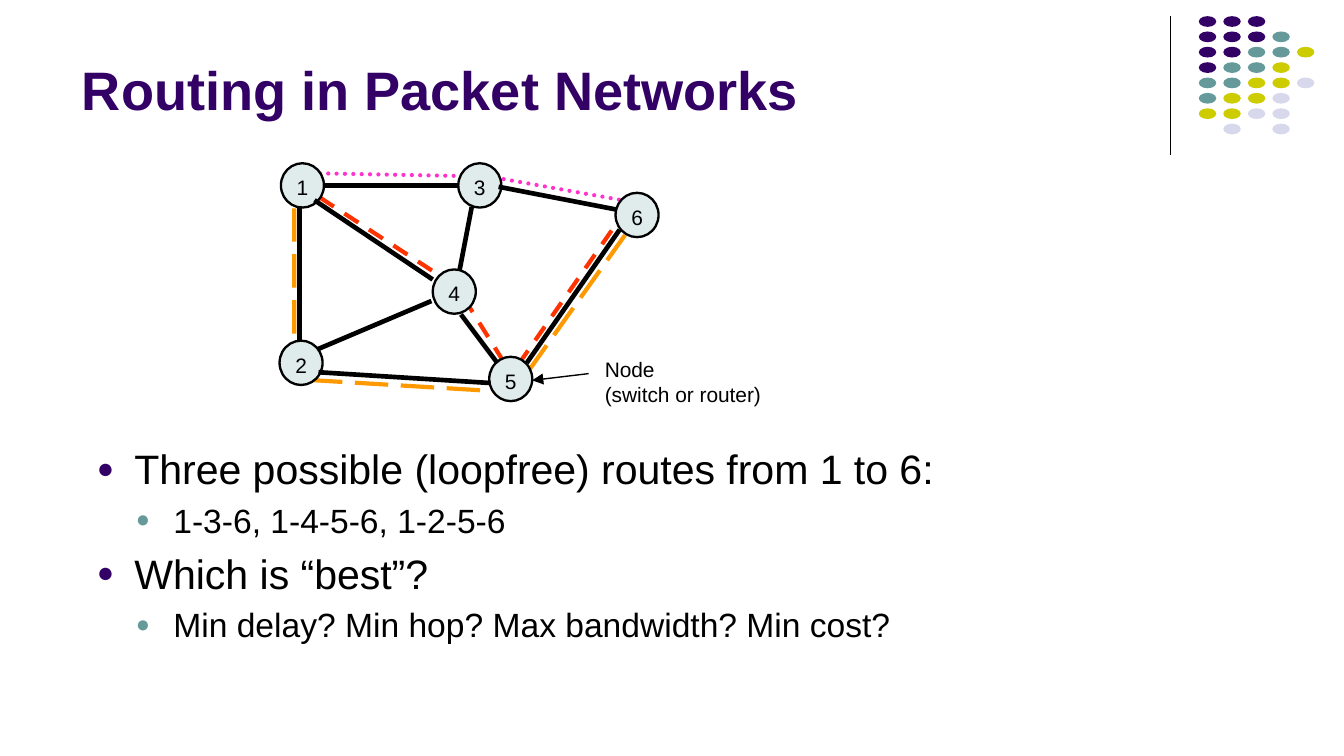
import pptx
import pptx.util
import pptx.dml.color
import pptx.enum.dml
import pptx.enum.shapes
import pptx.enum.text
import pptx.oxml
import pptx.oxml.ns

W = 10
H = W * 9 / 16
FONT = "Arial"
BLACK, PURPLE, TEAL, LIME, LAVENDER = "000000", "330066", "669999", "CCCC00", "D8D8EC"

TITLE = "Routing in Packet Networks"
BODY = [
    (0, "Three possible (loopfree) routes from 1 to 6:"),
    (1, "1-3-6, 1-4-5-6, 1-2-5-6"),
    (0, "Which is “best”?"),
    (1, "Min delay? Min hop? Max bandwidth? Min cost?"),
]
LEVELS = [  # per outline level: text size, left margin, bullet colour
    {"size": 22, "margin": 0.28, "bullet": PURPLE},
    {"size": 18, "margin": 0.57, "bullet": TEAL},
]
NODE_LABEL = ["Node", "(switch or router)"]

DOT_COLOURS = {"P": PURPLE, "T": TEAL, "L": LIME, "V": LAVENDER}
DOT_ROWS = ["PPP", "PPPT", "PPTTL", "PTTL", "TTLLV", "TLLV", "LLVV", " V V"]
DOT_LEFT, DOT_TOP, DOT_DX, DOT_DY = 8.92, 0.12, 0.73 / 4, 0.8 / 7

NODE_W, NODE_H = 0.32, 0.33
NODES = {"1": (2.25, 1.38), "2": (2.24, 2.7), "3": (3.57, 1.38),
         "4": (3.38, 2.17), "5": (3.8, 2.82), "6": (4.74, 1.6)}
EDGES = [
    (2.41, 1.38, 3.41, 1.38),  # 1-3
    (3.51, 1.54, 3.42, 2.01),  # 3-4
    (3.43, 2.34, 3.7, 2.7),    # 4-5
    (3.71, 1.39, 4.59, 1.56),  # 3-6
    (3.92, 2.7, 4.61, 1.71),   # 5-6
    (3.65, 2.85, 2.37, 2.77),  # 5-2
    (2.23, 1.53, 2.23, 2.54),  # 1-2
    (2.34, 1.49, 3.22, 2.08),  # 1-4
    (3.21, 2.24, 2.36, 2.6),   # 4-2
]
DASH = pptx.enum.dml.MSO_LINE
ROUTES = [
    ("FF3300", DASH.DASH, "flat", [(2.38, 1.47), (3.27, 2.05), (3.49, 2.28), (3.74, 2.68),
                                   (3.82, 2.7), (3.88, 2.68), (4.59, 1.66)]),
    ("FF33CC", DASH.ROUND_DOT, "rnd", [(2.38, 1.29), (3.43, 1.31), (3.73, 1.33),
                                       (4.63, 1.49)]),
    ("FF9900", DASH.LONG_DASH, "flat", [(2.19, 1.55), (2.19, 2.54), (2.16, 2.74),
                                        (2.21, 2.81), (2.34, 2.83), (3.67, 2.91),
                                        (3.83, 2.92), (3.92, 2.81), (3.94, 2.75),
                                        (4.65, 1.75)]),
]

inch, pt = pptx.util.Inches, pptx.util.Pt


def rgb(colour):
    return pptx.dml.color.RGBColor.from_string(colour)


def add_xml(parent, xml):
    """Append a DrawingML element, given without its namespace declaration."""
    head, sep, tail = xml.partition("/>") if xml.endswith("/>") else xml.partition(">")
    if xml.count("<") > 1:
        head, sep, tail = xml.partition(">")
    parent.append(pptx.oxml.parse_xml(f"{head} {pptx.oxml.ns.nsdecls('a')}{sep}{tail}"))


def place(sp, left, top, width, height):
    sp.left, sp.top, sp.width, sp.height = map(inch, (left, top, width, height))


def set_format(target, **values):
    for name, value in values.items():
        setattr(target, name, value)


def set_font(p, size, colour=BLACK, bold=False):
    set_format(p.font, name=FONT, size=pt(size), bold=bold)
    p.font.color.rgb = rgb(colour)


def set_line(line, colour, width):
    line.color.rgb = rgb(colour)
    line.width = pt(width)


def add_line(shapes, ends, width):
    sp = shapes.add_connector(pptx.enum.shapes.MSO_CONNECTOR.STRAIGHT, *map(inch, ends))
    set_line(sp.line, BLACK, width)
    add_xml(sp._element.spPr, "<a:effectLst/>")
    return sp


def add_ellipse(shapes, left, top, width, height, fill):
    sp = shapes.add_shape(pptx.enum.shapes.MSO_SHAPE.OVAL,
                          *map(inch, (left, top, width, height)))
    sp.shadow.inherit = False
    sp.fill.solid()
    sp.fill.fore_color.rgb = rgb(fill)
    return sp


def add_dots(shapes):
    for row, codes in enumerate(DOT_ROWS):
        for col, code in enumerate(codes):
            if code in DOT_COLOURS:
                dot = add_ellipse(shapes, DOT_LEFT + col * DOT_DX, DOT_TOP + row * DOT_DY,
                                  0.13, 0.08, DOT_COLOURS[code])
                dot.line.fill.background()


def add_route(shapes, colour, dash, cap, points):
    start, *rest = [(inch(x), inch(y)) for x, y in points]
    builder = shapes.build_freeform(*start)
    builder.add_line_segments(rest, close=False)
    sp = builder.convert_to_shape()
    sp.shadow.inherit = False
    sp.fill.background()
    set_line(sp.line, colour, 2.25)
    sp.line.dash_style = dash
    sp.line._get_or_add_ln().set("cap", cap)


def clear_insets(tf):
    set_format(tf, margin_left=0, margin_right=0, margin_top=0, margin_bottom=0,
               word_wrap=False)


def add_node(shapes, name, x, y):
    sp = add_ellipse(shapes, x - NODE_W / 2, y - NODE_H / 2, NODE_W, NODE_H, "E0EBEB")
    set_line(sp.line, BLACK, 1.25)
    tf = sp.text_frame
    clear_insets(tf)
    tf.margin_top = inch(0.03)
    tf.vertical_anchor = pptx.enum.text.MSO_ANCHOR.MIDDLE
    p = tf.paragraphs[0]
    p.text, p.alignment = name, pptx.enum.text.PP_ALIGN.CENTER
    set_font(p, 11.2)


def add_node_label(shapes):
    sp = shapes.add_textbox(*map(inch, (4.5, 2.65, 1.18, 0.38)))
    clear_insets(sp.text_frame)
    sp.text_frame.text = "\n".join(NODE_LABEL)
    for p in sp.text_frame.paragraphs:
        set_font(p, 11.2)
    arrow = add_line(shapes, (4.38, 2.78, 3.96, 2.83), 0.75)
    add_xml(arrow.line._get_or_add_ln(), '<a:tailEnd type="triangle"/>')


def fill_title(sp):
    place(sp, 0.51, 0.11, 5.99, 0.84)
    tf = sp.text_frame
    tf.text = TITLE
    set_format(tf, vertical_anchor=pptx.enum.text.MSO_ANCHOR.BOTTOM, word_wrap=True,
               auto_size=pptx.enum.text.MSO_AUTO_SIZE.NONE)
    p = tf.paragraphs[0]
    p.alignment = pptx.enum.text.PP_ALIGN.LEFT
    set_font(p, 29, PURPLE, bold=True)


def fill_body(sp):
    place(sp, 0.62, 3.25, 6.61, 1.65)
    tf = sp.text_frame
    tf.auto_size = pptx.enum.text.MSO_AUTO_SIZE.NONE
    tf.text = "\n".join(text for _, text in BODY)
    for i, (p, (level, _)) in enumerate(zip(tf.paragraphs, BODY)):
        style = LEVELS[level]
        p.level = level
        pPr = p._p.get_or_add_pPr()
        pPr.set("marL", str(inch(style["margin"])))
        pPr.set("indent", str(inch(-0.28)))
        add_xml(pPr, f'<a:buClr><a:srgbClr val="{style["bullet"]}"/></a:buClr>')
        add_xml(pPr, '<a:buSzPct val="70000"/>')
        add_xml(pPr, f'<a:buFont typeface="{FONT}"/>')
        add_xml(pPr, '<a:buChar char="●"/>')
        p.space_before = pt(0.2 * style["size"] if i else 0)
        set_font(p, style["size"])


def main():
    prs = pptx.Presentation()
    prs.slide_width, prs.slide_height = inch(W), inch(H)
    s = prs.slides.add_slide(prs.slide_layouts[1])
    fill_title(s.shapes.title)
    fill_body(s.placeholders[1])

    add_line(s.shapes, (8.71, 0.12, 8.71, 1.15), 0.75)
    add_dots(s.shapes.add_group_shape().shapes)

    network = s.shapes.add_group_shape().shapes
    for route in ROUTES:
        add_route(network, *route)
    for name, centre in NODES.items():
        add_node(network, name, *centre)
    for ends in EDGES:
        add_line(network, ends, 2.5)
    add_node_label(network)
    prs.save("out.pptx")


if __name__ == "__main__":
    main()
